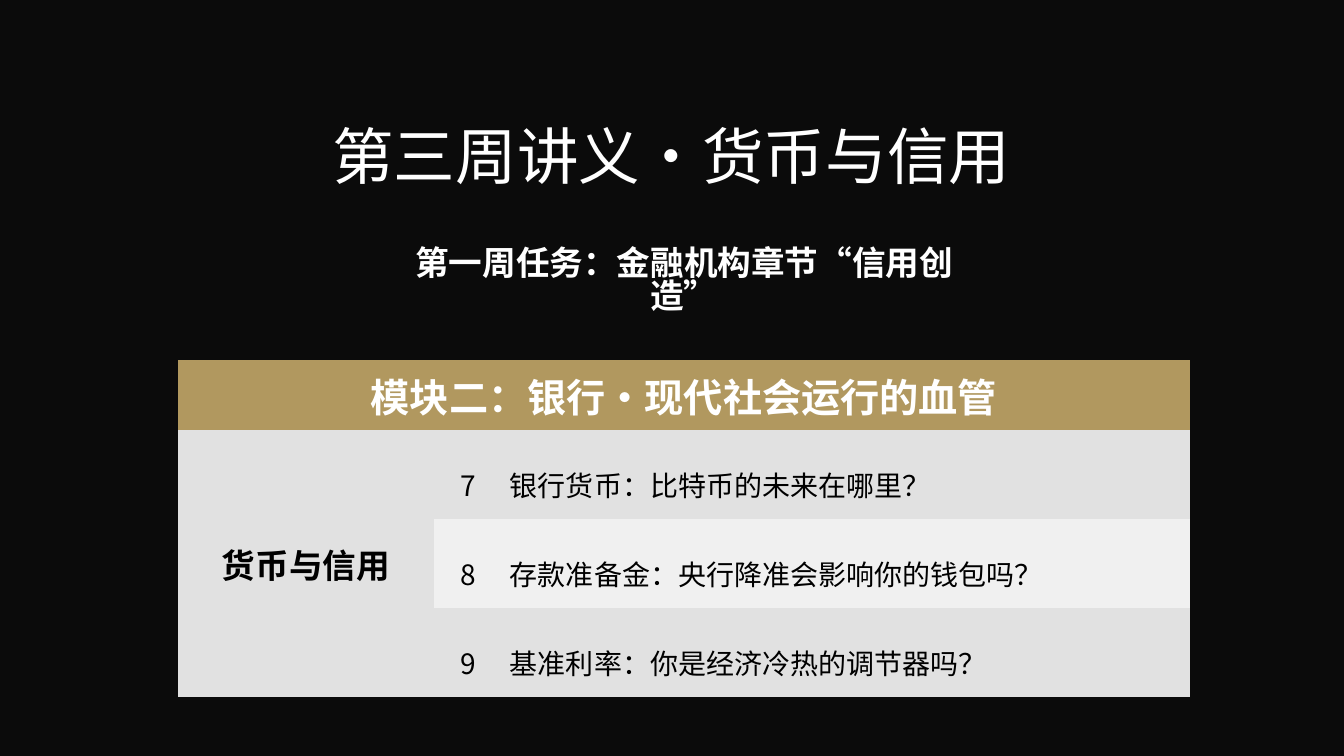
from lxml.etree import SubElement
from pptx import Presentation
from pptx.dml.color import RGBColor
from pptx.enum.lang import MSO_LANGUAGE_ID
from pptx.enum.shapes import MSO_SHAPE
from pptx.enum.text import MSO_ANCHOR, MSO_AUTO_SIZE, PP_ALIGN
from pptx.oxml.ns import qn
from pptx.util import Pt

HEADING = "第三周讲义·货币与信用"
TASK = "第一周任务：金融机构章节“信用创造”"
MODULE = "模块二：银行·现代社会运行的血管"
TOPIC = "货币与信用"
LESSONS = [
    ("7", "银行货币：比特币的未来在哪里？"),
    ("8", "存款准备金：央行降准会影响你的钱包吗？"),
    ("9", "基准利率：你是经济冷热的调节器吗？"),
]

FONT = "Noto Sans CJK SC"
WHITE = RGBColor(0xFF, 0xFF, 0xFF)
BLACK = RGBColor(0x00, 0x00, 0x00)
CHARCOAL = RGBColor(0x40, 0x40, 0x40)
GOLD = RGBColor(0xB1, 0x98, 0x5F)
GREY = RGBColor(0xE1, 0xE1, 0xE1)
PALE = RGBColor(0xF0, 0xF0, 0xF0)
PLAIN_TABLE = "{2D5ABB26-0587-4C30-8999-92F81FD0307C}"

SLIDE_SIZE = (1344, 756)
HEADING_BOX = (178, 112, 987, 85)
TASK_BOX = (377, 240, 614, 50)
TABLE_CORNER = (178, 360)
COLUMNS = (256, 69, 687)
MODULE_HEIGHT, LESSON_HEIGHT = 70, 89
CELL_MARGIN = 7


def px(length):
    return round(length * 914400 / 100.8)


def write(frame, text, size, color, bold=False, align=PP_ALIGN.CENTER, spacing=None):
    """Fill a frame with one paragraph, using FONT for both scripts."""
    frame.text = text
    paragraph = frame.paragraphs[0]
    paragraph.alignment = align
    paragraph.line_spacing = spacing
    for run in paragraph.runs:
        font = run.font
        font.size, font.bold, font.name = Pt(size), bold, FONT
        font.color.rgb = color
        font.language_id = MSO_LANGUAGE_ID.SIMPLIFIED_CHINESE
        SubElement(run._r.rPr, qn("a:ea"), typeface=FONT)


def place(placeholder, box, anchor):
    placeholder.left, placeholder.top, placeholder.width, placeholder.height = map(px, box)
    frame = placeholder.text_frame
    frame.word_wrap = True
    frame.auto_size = MSO_AUTO_SIZE.NONE
    frame.vertical_anchor = anchor
    return frame


def fill_cell(cell, fill, text, size, color, **style):
    cell.fill.solid()
    cell.fill.fore_color.rgb = fill
    cell.vertical_anchor = MSO_ANCHOR.MIDDLE
    cell.margin_left = cell.margin_right = px(CELL_MARGIN)
    cell.margin_top = cell.margin_bottom = 0
    write(cell.text_frame, text, size, color, **style)


def add_backdrop(slide):
    """Charcoal background, darkened by a translucent layer on the layout."""
    slide.background.fill.solid()
    slide.background.fill.fore_color.rgb = CHARCOAL
    veil = slide.shapes.add_shape(MSO_SHAPE.RECTANGLE, 0, 0, *map(px, SLIDE_SIZE))
    veil.shadow.inherit = False
    veil.line.fill.background()
    veil.fill.solid()
    veil.fill.fore_color.rgb = BLACK
    tint = veil._element.spPr.find(".//" + qn("a:srgbClr"))
    SubElement(tint, qn("a:alpha"), val="82000")
    slide.slide_layout.shapes._spTree.insert(2, veil._element)


def add_lessons(slide):
    height = MODULE_HEIGHT + LESSON_HEIGHT * len(LESSONS)
    frame = slide.shapes.add_table(len(LESSONS) + 1, len(COLUMNS),
                                   *map(px, (*TABLE_CORNER, sum(COLUMNS), height)))
    table = frame.table
    table._tbl.tblPr.find(qn("a:tableStyleId")).text = PLAIN_TABLE
    for column, width in zip(table.columns, COLUMNS):
        column.width = px(width)
    for index, row in enumerate(table.rows):
        row.height = px(LESSON_HEIGHT if index else MODULE_HEIGHT)

    table.cell(0, 0).merge(table.cell(0, len(COLUMNS) - 1))
    table.cell(1, 0).merge(table.cell(len(LESSONS), 0))
    fill_cell(table.cell(0, 0), GOLD, MODULE, 28, WHITE, bold=True)
    fill_cell(table.cell(1, 0), GREY, TOPIC, 24, BLACK, bold=True)
    for row, (number, lesson) in enumerate(LESSONS, 1):
        band = GREY if row % 2 else PALE
        fill_cell(table.cell(row, 1), band, number, 20, BLACK, spacing=1.5)
        fill_cell(table.cell(row, 2), band, lesson, 20, BLACK,
                  align=PP_ALIGN.JUSTIFY, spacing=1.5)


def main():
    deck = Presentation()
    deck.slide_width, deck.slide_height = map(px, SLIDE_SIZE)
    slide = deck.slides.add_slide(deck.slide_layouts[0])
    add_backdrop(slide)

    heading = place(slide.shapes.title, HEADING_BOX, MSO_ANCHOR.MIDDLE)
    write(heading, HEADING, 44, WHITE)
    add_lessons(slide)
    task = place(slide.placeholders[1], TASK_BOX, MSO_ANCHOR.TOP)
    task.margin_top = px(9)
    write(task, TASK, 24, WHITE, bold=True, spacing=0.82)
    task.paragraphs[0].space_before = 0

    deck.save("out.pptx")


if __name__ == "__main__":
    main()
